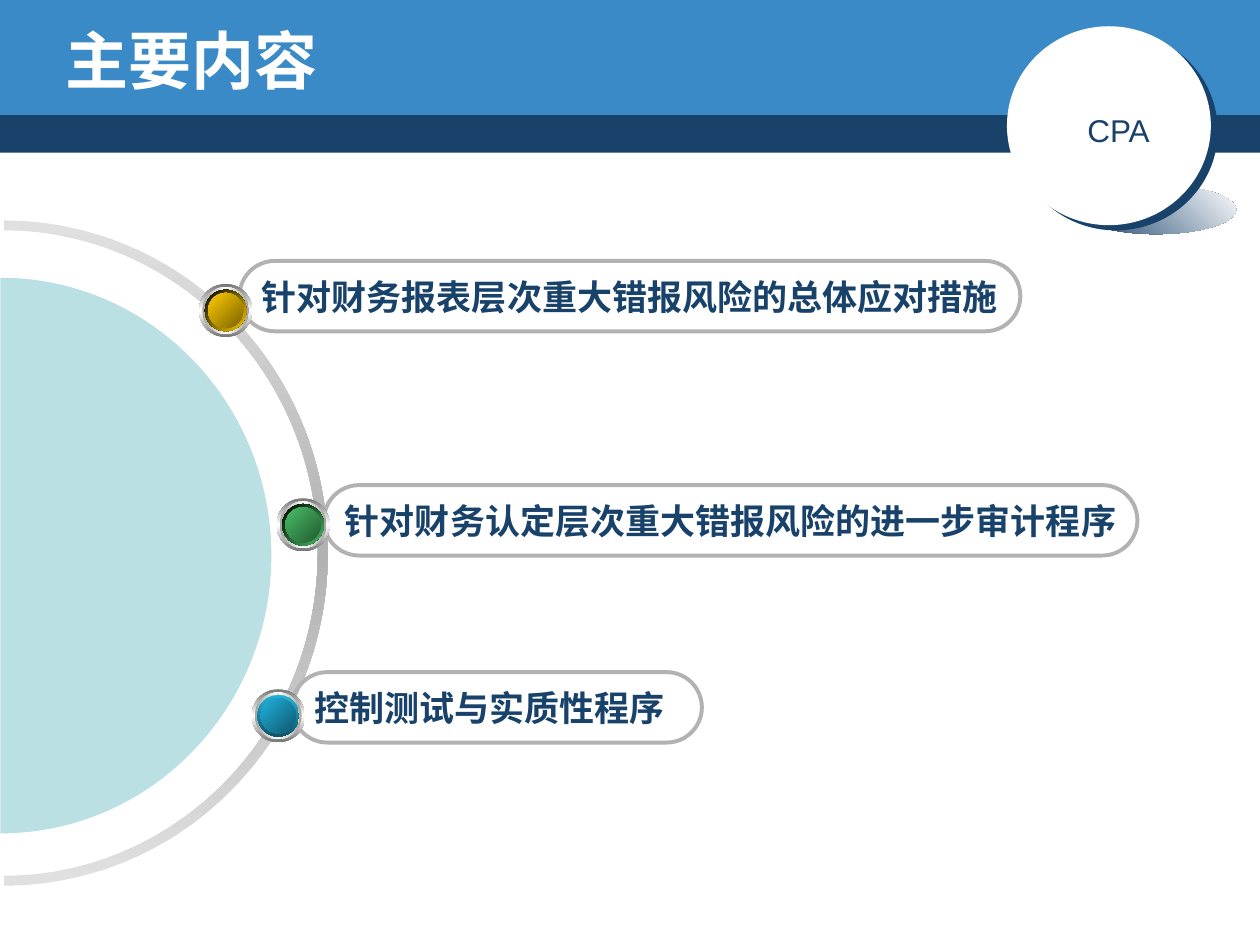
import math
from dataclasses import dataclass

from lxml import etree
from pptx import Presentation
from pptx.dml.color import RGBColor
from pptx.enum.shapes import MSO_SHAPE
from pptx.enum.text import MSO_ANCHOR, PP_ALIGN
from pptx.oxml.ns import qn
from pptx.util import Cm, Pt

RECT = MSO_SHAPE.RECTANGLE
ELLIPSE = MSO_SHAPE.OVAL
PILL = MSO_SHAPE.ROUNDED_RECTANGLE
MIDDLE = MSO_ANCHOR.MIDDLE
CENTER = PP_ALIGN.CENTER
LEFT = PP_ALIGN.LEFT

NAVY = "19426B"
BLUE = "398AC7"
WHITE = "FFFFFF"
GREY = "B2B2B2"
PALE_TEAL = "BBE0E3"
OLIVE = "8BBC00"
DARK_OLIVE = "6A9000"
ROUNDNESS = 4 / 3 * (math.sqrt(2) - 1)

Point = tuple[float, float]


@dataclass(frozen=True)
class Gradient:
    colours: tuple[str, ...]
    angle: int


@dataclass(frozen=True)
class Topic:
    text: str
    left: float
    top: float
    width: float
    right_inset: float
    button_x: float
    button_y: float
    rim: Gradient
    face: Gradient


TOPICS = (
    Topic("控制测试与实质性程序", 5.89, 13.55, 8.26, 0.55, 5.61, 14.43,
          Gradient(("21B3E1", "0F5368"), 90), Gradient(("21B3E1", "10576D"), 45)),
    Topic("针对财务认定层次重大错报风险的进一步审计程序", 6.53, 9.78, 16.4, 0.25, 6.11, 10.58,
          Gradient(("000000", "48BE67"), 45), Gradient(("48BE67", "235C32"), 45)),
    Topic("针对财务报表层次重大错报风险的总体应对措施", 4.83, 5.26, 15.74, 0.25, 4.55, 6.26,
          Gradient(("000000", "FFCC00"), 45), Gradient(("FFCC00", "7C6300"), 45)),
)


def rgb(value: str) -> RGBColor:
    return RGBColor.from_string(value)


def paint(shape, fill: str | Gradient | None) -> None:
    shape.shadow.inherit = False
    shape.line.fill.background()
    if fill is None:
        shape.fill.background()
    elif isinstance(fill, str):
        shape.fill.solid()
        shape.fill.fore_color.rgb = rgb(fill)
    else:
        shape.fill.gradient()
        shape.fill.gradient_angle = (360 - fill.angle) % 360
        stops = shape.element.spPr.find(qn("a:gradFill")).find(qn("a:gsLst"))
        for stop in list(stops):
            stops.remove(stop)
        last = len(fill.colours) - 1
        for index, colour in enumerate(fill.colours):
            stop = etree.SubElement(stops, qn("a:gs"), pos=str(100000 * index // last))
            etree.SubElement(stop, qn("a:srgbClr"), val=colour)


def add_figure(shapes, kind, left: float, top: float, width: float, height: float,
               fill: str | Gradient | None):
    figure = shapes.add_shape(kind, Cm(left), Cm(top), Cm(width), Cm(height))
    paint(figure, fill)
    return figure


def place(shape, left: float, top: float, width: float, height: float) -> None:
    frame = {"left": left, "top": top, "width": width, "height": height}
    for name, value in frame.items():
        setattr(shape, name, Cm(value))


def write(shape, text: str, size: int, font: str, colour: str, bold: bool,
          align, wrap: bool) -> None:
    frame = shape.text_frame
    frame.text = text
    for name, value in {"word_wrap": wrap, "vertical_anchor": MIDDLE}.items():
        setattr(frame, name, value)
    paragraph = frame.paragraphs[0]
    paragraph.alignment = align
    letters = paragraph.runs[0].font
    for name, value in {"size": Pt(size), "name": font, "bold": bold}.items():
        setattr(letters, name, value)
    letters.color.rgb = rgb(colour)


def cast_shadow(shape, colour: str, distance: int, angle: int) -> None:
    effects = shape.element.spPr.find(qn("a:effectLst"))
    shadow = etree.SubElement(effects, qn("a:outerShdw"), dist=str(Pt(distance)),
                              dir=str(angle * 60000), algn="ctr", rotWithShape="0")
    etree.SubElement(shadow, qn("a:srgbClr"), val=colour)


def arch(left: float, right: float, top: float, base: float) -> list[Point]:
    middle = (left + right) / 2
    reach = (middle - left) * ROUNDNESS
    shoulder = base - (base - top) * ROUNDNESS
    return [(left, base), (left, shoulder), (middle - reach, top), (middle, top),
            (middle + reach, top), (right, shoulder), (right, base)]


def add_arches(shapes, arches: list[list[Point]], left: float, top: float, width: float,
               height: float, fill: str | Gradient) -> None:
    points = [(Cm(x), Cm(y)) for curve in arches for x, y in curve]
    builder = shapes.build_freeform(*points[0])
    builder.add_line_segments(points[1:], close=True)
    outline = builder.convert_to_shape()
    paint(outline, fill)
    place(outline, left, top, width, height)
    outline.rotation = 90
    route = next(outline.element.iter(qn("a:path")))
    route.set("w", str(Cm(width)))
    route.set("h", str(Cm(height)))
    nodes = list(route)
    for start in range(1, len(points), 7):
        for first in (start, start + 3):
            curve = etree.Element(qn("a:cubicBezTo"))
            nodes[first].addprevious(curve)
            for node in nodes[first:first + 3]:
                curve.append(node[0])
                route.remove(node)


def add_header(shapes) -> None:
    add_figure(shapes, RECT, 0, 2.22, 25.4, 0.86, NAVY)
    add_figure(shapes, RECT, 0, 0, 25.4, 2.32, BLUE)
    badge = shapes.add_group_shape().shapes
    add_figure(badge, ELLIPSE, 21.69, 3.73, 3.23, 0.99, Gradient((NAVY, WHITE), 315))
    disc = add_figure(badge, ELLIPSE, 20.3, 0.53, 4.11, 4.01, WHITE)
    cast_shadow(disc, NAVY, 5, 37)
    label = add_figure(badge, ELLIPSE, 21.34, 1.93, 2.26, 1.37, WHITE)
    write(label, "CPA", 18, "Arial", NAVY, False, CENTER, False)
    label.text_frame.margin_left = Cm(0.41)


def add_pill(shapes, topic: Topic) -> None:
    pill = add_figure(shapes, PILL, topic.left, topic.top, topic.width, 1.42, None)
    pill.adjustments[0] = 0.5
    pill.line.color.rgb = rgb(GREY)
    pill.line.width = Pt(2.25)
    write(pill, topic.text, 20, "Arial", NAVY, True, CENTER, False)
    pill.text_frame.margin_right = Cm(topic.right_inset)


def add_button(shapes, topic: Topic) -> None:
    layers = (
        (1.07, Gradient(("767676", WHITE, "767676"), 90)),
        (0.94, Gradient(("A2A2A2", WHITE, "A2A2A2"), 0)),
        (0.84, Gradient((WHITE, OLIVE, WHITE), 45)),
        (0.84, topic.rim),
        (0.71, Gradient((DARK_OLIVE, OLIVE, DARK_OLIVE), 315)),
        (0.71, topic.face),
    )
    button = shapes.add_group_shape().shapes
    for size, fill in layers:
        add_figure(button, ELLIPSE, topic.button_x - size / 2, topic.button_y - size / 2,
                   size, size, fill)


def main() -> None:
    deck = Presentation()
    deck.slide_width, deck.slide_height = Cm(25.4), Cm(19.05)
    slide = deck.slides.add_slide(deck.slide_layouts[5])
    shapes = slide.shapes
    title = shapes.title

    add_header(shapes)
    title.element.getparent().append(title.element)
    place(title, 1.07, 0.42, 21.59, 1.57)
    write(title, "主要内容", 36, "DejaVu Sans", WHITE, True, LEFT, True)

    ring = [arch(0, 13.41, 0, 6.53), arch(13.21, 0.2, 0.2, 6.53)]
    add_arches(shapes, ring, -6.73, 4.52, 13.41, 13.26,
               Gradient(("E0E0E0", GREY, "E0E0E0"), 0))
    add_arches(shapes, [arch(0, 11.2, 0, 5.46)], -5.59, 5.74, 11.2, 10.92, PALE_TEAL)

    for topic in TOPICS:
        add_pill(shapes, topic)
    for topic in reversed(TOPICS):
        add_button(shapes, topic)

    deck.save("out.pptx")


if __name__ == "__main__":
    main()
